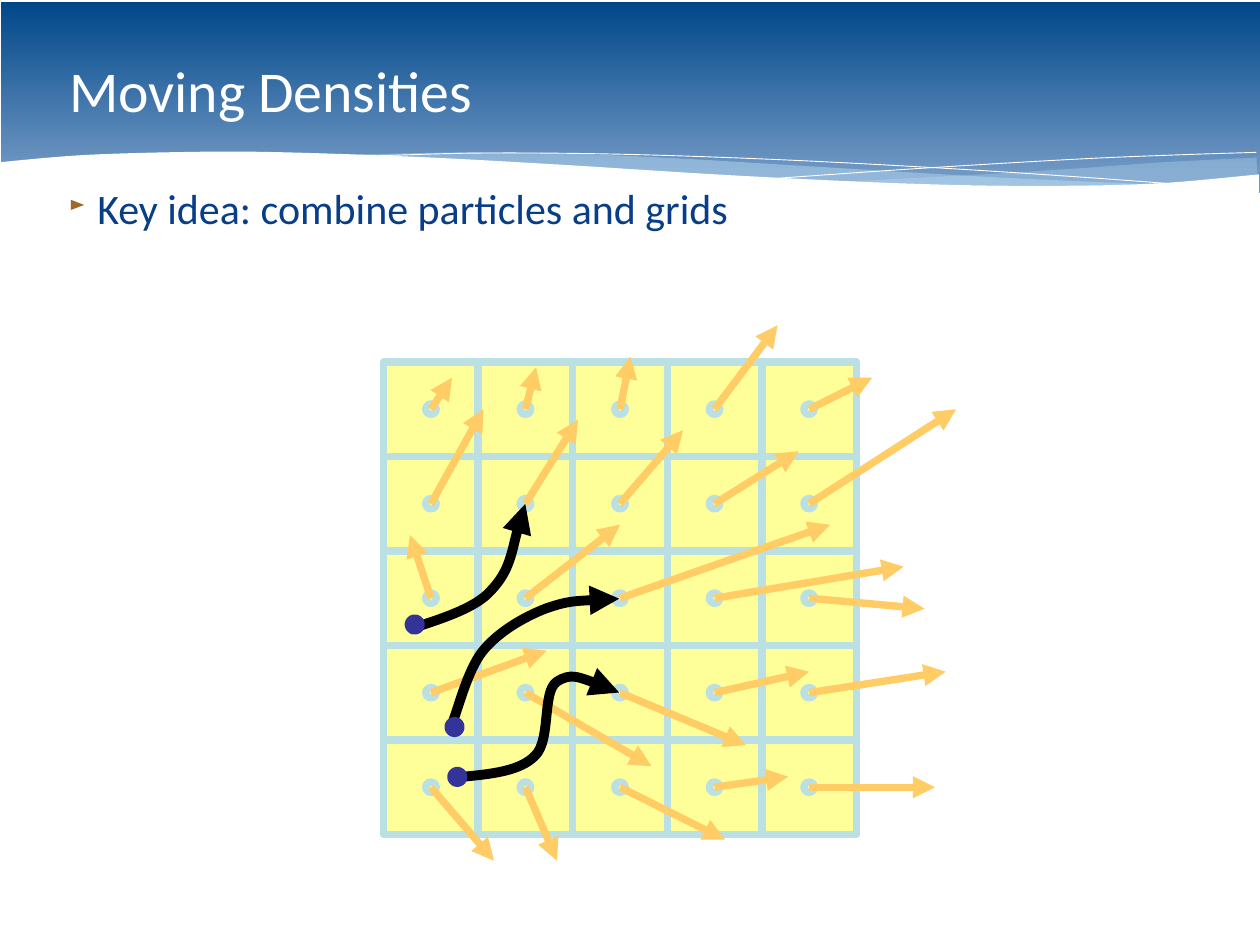
"""Builds the slide "Moving Densities": a grid of velocity vectors with three particle paths."""
from lxml import etree
from pptx import Presentation
from pptx.dml.color import RGBColor
from pptx.enum.shapes import MSO_CONNECTOR, MSO_SHAPE
from pptx.enum.text import MSO_ANCHOR, MSO_AUTO_SIZE, PP_ALIGN
from pptx.oxml.ns import qn
from pptx.util import Cm, Pt

RECTANGLE, OVAL, STRAIGHT = MSO_SHAPE.RECTANGLE, MSO_SHAPE.OVAL, MSO_CONNECTOR.STRAIGHT
LEFT, TOP, MIDDLE = PP_ALIGN.LEFT, MSO_ANCHOR.TOP, MSO_ANCHOR.MIDDLE
NO_AUTOFIT = MSO_AUTO_SIZE.NONE

COLORS = {
    "white": "FFFFFF", "banner_top": "00478A", "banner_bottom": "7198C3", "wave": "C6E7FC",
    "body": "073E87", "bullet": "9C6B29", "cell": "FFFF99", "grid": "BBE0E3",
    "velocity": "FFCC66", "path": "000000", "particle": "333399",
}

CELL, GRID_LEFT, GRID_TOP, DOT = 2.71, 11.0, 10.38, 0.3
STEP = CELL / 9
VELOCITIES = [
    [(2, -3), (1, -4), (1, -5), (6, -8), (6, -3)],
    [(5, -9), (5, -8), (6, -7), (8, -5), (14, -9)],
    [(-2, -6), (9, -7), (20, -7), (18, -3), (11, 1)],
    [(11, -4), (12, 7), (12, 5), (9, -2), (13, -2)],
    [(6, 7), (3, 7), (10, 5), (7, -1), (12, 0)],
]
PARTICLE_PATHS = [
    [(11.73, 18.06), (12.14, 17.88), (13.54, 17.55), (14.07, 16.94),
     (14.63, 16.36), (14.86, 14.96), (15.06, 14.45)],
    [(12.95, 20.78), (13.11, 20.42), (13.39, 19.23), (13.84, 18.67), (14.3, 18.11),
     (15.01, 17.7), (15.65, 17.45), (16.31, 17.22), (17.04, 17.2), (17.75, 17.17)],
    [(13.23, 22.28), (14.07, 22.2), (14.91, 22.12), (15.34, 21.67), (15.8, 21.23),
     (15.54, 19.86), (15.95, 19.56), (16.36, 19.28), (17.07, 19.56), (17.75, 19.86)],
]
PARTICLES = [(13.11, 22.28), (13.03, 20.85), (11.89, 17.91)]

RIGHT_WAVE = [
    [(36.02, 4.52), (33.4, 4.65), (30.61, 4.85), (27.64, 5.03), (24.13, 5.21)],
    [(24.13, 5.21), (27.28, 5.3), (29.92, 5.33), (32.11, 5.31), (34.24, 5.18), (36.04, 5)],
]
MIDDLE_WAVE = [
    [(32.89, 5.28), (28.45, 5.08), (22.91, 4.75), (19.58, 4.55), (16.69, 4.42),
     (13.49, 4.37), (9.96, 4.44)],
    [(9.96, 4.44), (13.61, 4.6), (17.68, 4.85), (21.87, 5.09), (25.93, 5.28),
     (30.07, 5.34), (32.89, 5.28)],
]
FALLING_LINE = [(10.82, 4.47), (13.77, 4.39), (17.63, 4.42), (22.12, 4.57), (26.62, 4.8),
                (30.56, 5.05), (33.45, 5.26)]
RISING_LINE = [(22.33, 5.11), (26.37, 4.83), (30.76, 4.57), (33.55, 4.45), (36.02, 4.37)]
BANNER_EDGE = [(36.09, 5), (33.12, 5.26), (29.72, 5.33), (25.91, 5.26), (21.03, 5.03),
               (16.03, 4.72), (11.96, 4.5), (7.82, 4.36), (5.21, 4.36), (2.34, 4.45), (0, 4.65)]


def rgb(name):
    return RGBColor.from_string(COLORS[name])


def smooth(*edges):
    """Return Bezier control points that run smoothly through each edge in turn."""
    controls = [edges[0][0]]
    for edge in edges:
        padded = [edge[0], *edge, edge[-1]]
        for before, start, end, after in zip(padded, padded[1:], padded[2:], padded[3:]):
            leaving = tuple(s + (e - b) / 6 for b, s, e in zip(before, start, end))
            arriving = tuple(e - (a - s) / 6 for s, e, a in zip(start, end, after))
            controls += [leaving, arriving, end]
    return controls


def write_text(frame, text, *, size, color, font="Calibri", anchor=TOP, bullet=None):
    """Write one left-aligned paragraph into a text frame."""
    frame.word_wrap = True
    frame.auto_size = NO_AUTOFIT
    frame.vertical_anchor = anchor
    frame.margin_left = frame.margin_right = frame.margin_top = frame.margin_bottom = Cm(0.18)
    paragraph = frame.paragraphs[0]
    paragraph.alignment = LEFT
    if bullet:
        properties = paragraph._p.get_or_add_pPr()
        properties.set("marL", str(Cm(0.81)))
        properties.set("indent", str(-Cm(0.81)))
        bullet_color = etree.SubElement(properties, qn("a:buClr"))
        etree.SubElement(bullet_color, qn("a:srgbClr"), val=COLORS["bullet"])
        etree.SubElement(properties, qn("a:buSzPct"), val="50000")
        etree.SubElement(properties, qn("a:buChar"), char=bullet)
    run = paragraph.add_run()
    run.text = text
    run.font.name, run.font.size, run.font.color.rgb = font, Pt(size), rgb(color)


class SlideBuilder:
    """Holds the current slide and draws its elements in one style."""

    def __init__(self, slide):
        self.slide = slide
        self.shapes = slide.shapes

    def outline(self, shape, color, width, arrow=False):
        shape.line.color.rgb = rgb(color)
        shape.line.width = Pt(width)
        if arrow:
            etree.SubElement(shape.line._get_or_add_ln(), qn("a:tailEnd"), type="triangle")

    def title(self, text):
        title = self.shapes.title
        title.left, title.top, title.width, title.height = Cm(1.8), Cm(0.58), Cm(32.51), Cm(3.94)
        write_text(title.text_frame, text, size=46.9, color="white", anchor=MIDDLE)
        self.shapes._spTree.append(title._element)

    def body(self, text):
        body = self.shapes.add_textbox(Cm(1.8), Cm(5.05), Cm(32.51), Cm(20.04))
        write_text(body.text_frame, text, size=34.1, color="body", bullet="►")

    def banner(self):
        banner = self.shapes.add_shape(RECTANGLE, Cm(0.03), Cm(0.05), Cm(36.09), Cm(5.49))
        banner.shadow.inherit = False
        banner.line.fill.background()
        banner.fill.gradient()
        banner.fill.gradient_angle = 270
        ends = (("banner_top", 0), ("banner_bottom", 0.9))
        for stop, (color, position) in zip(banner.fill.gradient_stops, ends):
            stop.color.rgb, stop.position = rgb(color), position

    def centered(self, kind, center, size, fill, line, width):
        x, y = center
        shape = self.shapes.add_shape(
            kind, Cm(x - size / 2), Cm(y - size / 2), Cm(size), Cm(size))
        shape.shadow.inherit = False
        shape.fill.solid()
        shape.fill.fore_color.rgb = rgb(fill)
        self.outline(shape, line, width)

    def arrow(self, start, end):
        arrow = self.shapes.add_connector(STRAIGHT, *(Cm(value) for value in (*start, *end)))
        self.outline(arrow, "velocity", 6, arrow=True)
        etree.SubElement(arrow._element.spPr, qn("a:effectLst"))

    def curve(self, controls, corners=(), fill=None, opacity=100, line=None, width=0, arrow=False):
        """Draw a Bezier curve; a filled one is closed through its corners."""
        start, *points = [(Cm(x), Cm(y)) for x, y in [*controls, *corners]]
        builder = self.shapes.build_freeform(*start)
        builder.add_line_segments(points, close=fill is not None)
        curve = builder.convert_to_shape()
        curve.shadow.inherit = False
        segments = list(curve._element.iter(qn("a:lnTo")))[:len(controls) - 1]
        for triple in zip(segments[::3], segments[1::3], segments[2::3]):
            bezier = etree.Element(qn("a:cubicBezTo"))
            triple[0].addprevious(bezier)
            for segment in triple:
                bezier.append(segment[0])
                segment.getparent().remove(segment)
        if fill:
            curve.fill.solid()
            curve.fill.fore_color.rgb = rgb(fill)
            if opacity < 100:
                fill_color = curve._element.spPr.find(qn("a:solidFill"))[0]
                etree.SubElement(fill_color, qn("a:alpha"), val=str(opacity * 1000))
        else:
            curve.fill.background()
        if line:
            self.outline(curve, line, width, arrow)
        else:
            curve.line.fill.background()


def main():
    presentation = Presentation()
    presentation.slide_width, presentation.slide_height = Cm(36.12), Cm(27.1)
    page = SlideBuilder(presentation.slides.add_slide(presentation.slide_layouts[5]))

    page.banner()
    page.curve(smooth(*RIGHT_WAVE), fill="wave", opacity=29)
    page.curve(smooth(*MIDDLE_WAVE), fill="wave", opacity=40)
    for crest in (FALLING_LINE, RISING_LINE):
        page.curve(smooth(crest), line="white")
    page.curve(smooth(BANNER_EDGE), corners=[(0, 5.87), (36.09, 5.87)], fill="white")
    page.title("Moving Densities")
    page.body("Key idea: combine particles and grids")

    vectors = []
    for row, velocities in enumerate(VELOCITIES):
        for column, (dx, dy) in enumerate(velocities):
            x, y = GRID_LEFT + (column + 0.5) * CELL, GRID_TOP + (row + 0.5) * CELL
            page.centered(RECTANGLE, (x, y), CELL, "cell", "grid", 6)
            page.centered(OVAL, (x, y), DOT, "cell", "grid", 6)
            vectors.append(((x, y), (x + dx * STEP, y + dy * STEP)))
    for start, end in vectors:
        page.arrow(start, end)
    for particle_path in PARTICLE_PATHS:
        page.curve(particle_path, line="path", width=8, arrow=True)
    for particle in PARTICLES:
        page.centered(OVAL, particle, DOT, "particle", "particle", 8)

    presentation.save("out.pptx")


if __name__ == "__main__":
    main()
